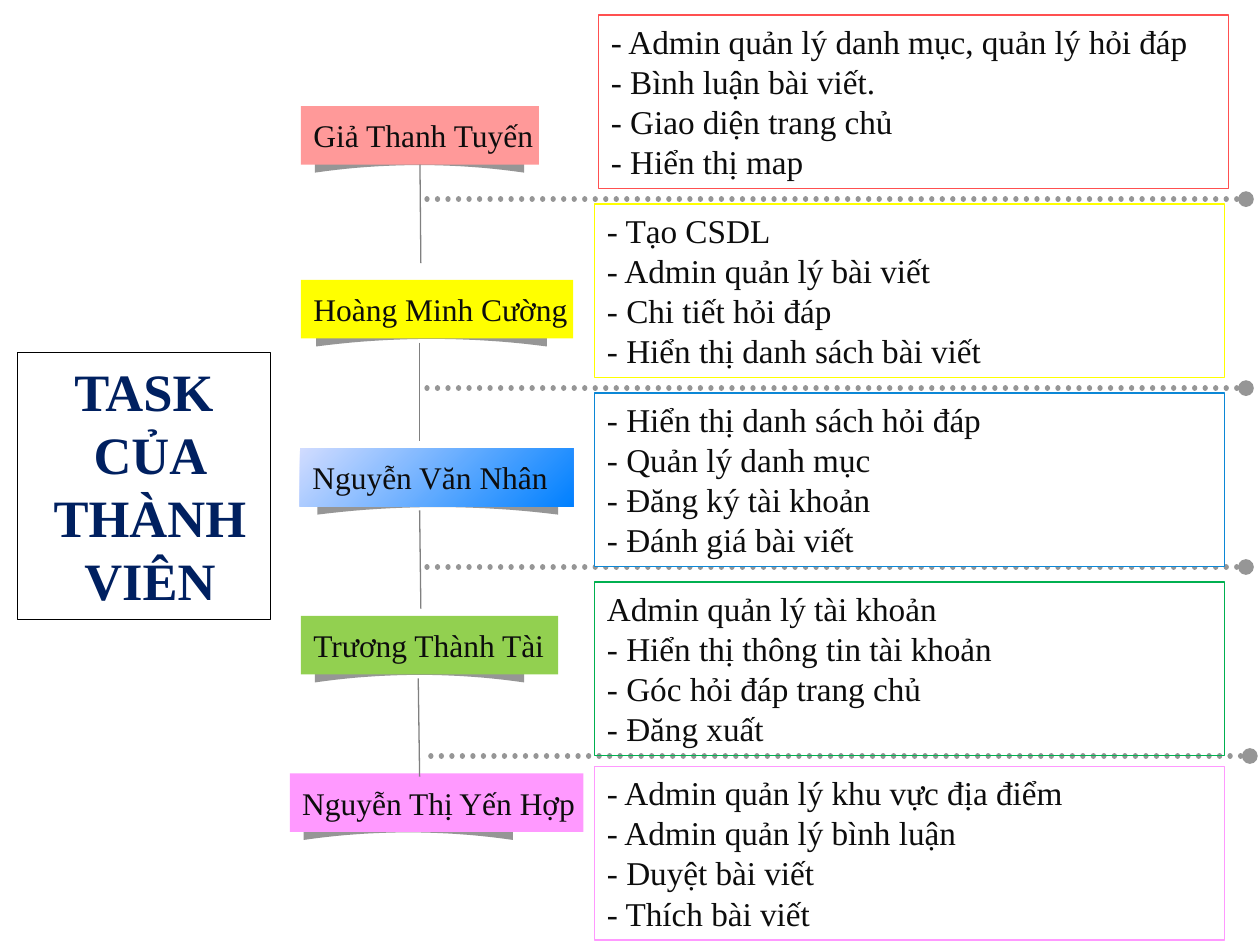
"""Build a slide that lists the tasks of each team member."""
import pptx
import pptx.dml.color
import pptx.enum.dml
import pptx.enum.shapes
import pptx.enum.text
import pptx.oxml
import pptx.oxml.ns
import pptx.util

Pt = pptx.util.Pt
FONT = "Times New Roman"
COLORS = {
    "text": "0D0D0D", "title": "002060", "border": "000000", "white": "FFFFFF",
    "shadow": "969696", "spine": "808080", "red": "FF5050", "salmon": "FF9999",
    "yellow": "FFFF00", "light_blue": "D1DCFF", "bright_blue": "0080FF",
    "blue": "0B87D6", "lime": "92D050", "green": "00B050", "pink": "FF99FF",
}
LABEL_HEIGHT = 33.4
TASK_WIDTH, TASK_HEIGHT = 360, 99.3

# name, fills, left, top, width, shadow inset, shadow width
MEMBERS = [
    ("Giả Thanh Tuyến", ["salmon"], 172, 60.7, 136, 8, 119.5),
    ("Hoàng Minh Cường", ["yellow"], 172, 160, 155.5, 8.7, 131.8),
    ("Nguyễn Văn Nhân", ["light_blue", "bright_blue"], 171.4, 256.1, 156.2, 10, 137.5),
    ("Trương Thành Tài", ["lime"], 172, 352, 147, 8, 119.5),
    ("Nguyễn Thị Yến Hợp", ["pink"], 165.6, 442, 167.8, 8, 119.5),
]
# left, top, line, fill, tasks
TASKS = [
    (342, 8.6, "red", None,
     "- Admin quản lý danh mục, quản lý hỏi đáp\n- Bình luận bài viết.\n"
     "- Giao diện trang chủ\n- Hiển thị map"),
    (339.8, 116.6, "yellow", None,
     "- Tạo CSDL\n- Admin quản lý bài viết\n- Chi tiết hỏi đáp\n"
     "- Hiển thị danh sách bài viết"),
    (339.8, 224.6, "blue", "white",
     "- Hiển thị danh sách hỏi đáp\n- Quản lý danh mục\n"
     "- Đăng ký tài khoản\n- Đánh giá bài viết"),
    (339.8, 332.6, "green", None,
     "Admin quản lý tài khoản\n- Hiển thị thông tin tài khoản\n"
     "- Góc hỏi đáp trang chủ\n- Đăng xuất"),
    (339.8, 437.8, "pink", None,
     "- Admin quản lý khu vực địa điểm\n- Admin quản lý bình luận\n"
     "- Duyệt bài viết\n- Thích bài viết"),
]
SPINES = [(239.8, 94.1, 240.5), (239.8, 195.8, 239.8),
          (239.8, 291.6, 240.5), (239, 387.6, 239.8)]
SEPARATORS = [(244, 113.8), (244, 221.8), (244, 324), (246.2, 432)]


def rgb(name):
    return pptx.dml.color.RGBColor.from_string(COLORS[name])


def paint(sp, fills):
    if len(fills) == 1:
        sp.fill.solid()
        sp.fill.fore_color.rgb = rgb(fills[0])
    else:
        sp.fill.gradient()
        sp.fill.gradient_angle = 315
        for stop, name in zip(sp.fill.gradient_stops, fills):
            stop.color.rgb = rgb(name)


def outline(sp, color):
    sp.line.color.rgb = rgb(color)
    sp.line.width = Pt(0.75)


def write(sp, text, size, color="text", align="LEFT", spacing=None, bold=False):
    tf = sp.text_frame
    tf.text = text
    for p in tf.paragraphs:
        p.alignment = getattr(pptx.enum.text.PP_ALIGN, align)
        if spacing:
            p.line_spacing = Pt(spacing)
        for r in p.runs:
            r.font.name, r.font.size, r.font.bold = FONT, Pt(size), bold
            r.font.color.rgb = rgb(color)
    return tf


def add_box(s, left, top, width, height):
    sp = s.shapes.add_shape(pptx.enum.shapes.MSO_SHAPE.RECTANGLE,
                            Pt(left), Pt(top), Pt(width), Pt(height))
    sp.shadow.inherit = False
    return sp


def add_curved_shadow(s, left, top, width):
    steps = 20
    arc = [(left + width * i / steps, top + 16 - 4.3 * (1 - (2 * i / steps - 1) ** 2))
           for i in range(steps, -1, -1)]
    roof = [(left, top + 3.8), (left + width / 2, top), (left + width, top + 3.8)]
    points = [(Pt(x), Pt(y)) for x, y in arc + roof]
    builder = s.shapes.build_freeform(*points[0])
    builder.add_line_segments(points[1:], close=True)
    sp = builder.convert_to_shape()
    sp.shadow.inherit = False
    paint(sp, ["shadow"])
    sp.line.fill.background()


def add_label(s, name, fills, left, top, width, inset, shadow_width):
    add_curved_shadow(s, left + inset, top + 22, shadow_width)
    sp = add_box(s, left, top, width, LABEL_HEIGHT)
    paint(sp, fills)
    sp.line.fill.background()
    tf = write(sp, name, 18)
    tf.word_wrap = False
    tf.vertical_anchor = pptx.enum.text.MSO_ANCHOR.MIDDLE
    return sp


def add_tasks(s, left, top, line, fill, text):
    sp = add_box(s, left, top, TASK_WIDTH, TASK_HEIGHT)
    if fill:
        paint(sp, [fill])
    else:
        sp.fill.background()
    outline(sp, line)
    tf = write(sp, text, 19, spacing=22.9)
    tf.word_wrap = True
    tf.vertical_anchor = pptx.enum.text.MSO_ANCHOR.TOP


def add_line(s, x1, y1, x2, y2, color, width):
    sp = s.shapes.add_connector(pptx.enum.shapes.MSO_CONNECTOR.STRAIGHT,
                                Pt(x1), Pt(y1), Pt(x2), Pt(y2))
    sp.line.color.rgb = rgb(color)
    sp.line.width = Pt(width)
    sp._element.spPr.append(pptx.oxml.parse_xml(
        "<a:effectLst %s/>" % pptx.oxml.ns.nsdecls("a")))
    return sp


def add_separator(s, left, y):
    sp = add_line(s, left, y, left + 468, y, "shadow", 3)
    sp.line.dash_style = pptx.enum.dml.MSO_LINE.ROUND_DOT
    ln = sp.line._get_or_add_ln()
    ln.set("cap", "rnd")
    ln.append(pptx.oxml.parse_xml(
        '<a:tailEnd %s type="oval"/>' % pptx.oxml.ns.nsdecls("a")))


def format_title(s):
    sp = s.shapes.title
    sp.left, sp.top, sp.width, sp.height = Pt(10), Pt(201.3), Pt(144.5), Pt(152.6)
    sp.fill.background()
    outline(sp, "border")
    tf = write(sp, "TASK\n CỦA\n THÀNH\n VIÊN", 30, "title", "CENTER", 36, True)
    tf.word_wrap = True
    tf.auto_size = pptx.enum.text.MSO_AUTO_SIZE.NONE
    tf.vertical_anchor = pptx.enum.text.MSO_ANCHOR.TOP


def main():
    prs = pptx.Presentation()
    prs.slide_width, prs.slide_height = Pt(720), Pt(540)
    s = prs.slides.add_slide(prs.slide_layouts[5])
    format_title(s)
    labels = [add_label(s, *member) for member in MEMBERS]
    spines = [add_line(s, x1, y, x2, y + 56.2, "spine", 0.75) for x1, y, x2 in SPINES]
    spines[0].begin_connect(labels[0], 2)
    for separator in SEPARATORS:
        add_separator(s, *separator)
    for tasks in TASKS:
        add_tasks(s, *tasks)
    prs.save("out.pptx")


if __name__ == "__main__":
    main()
